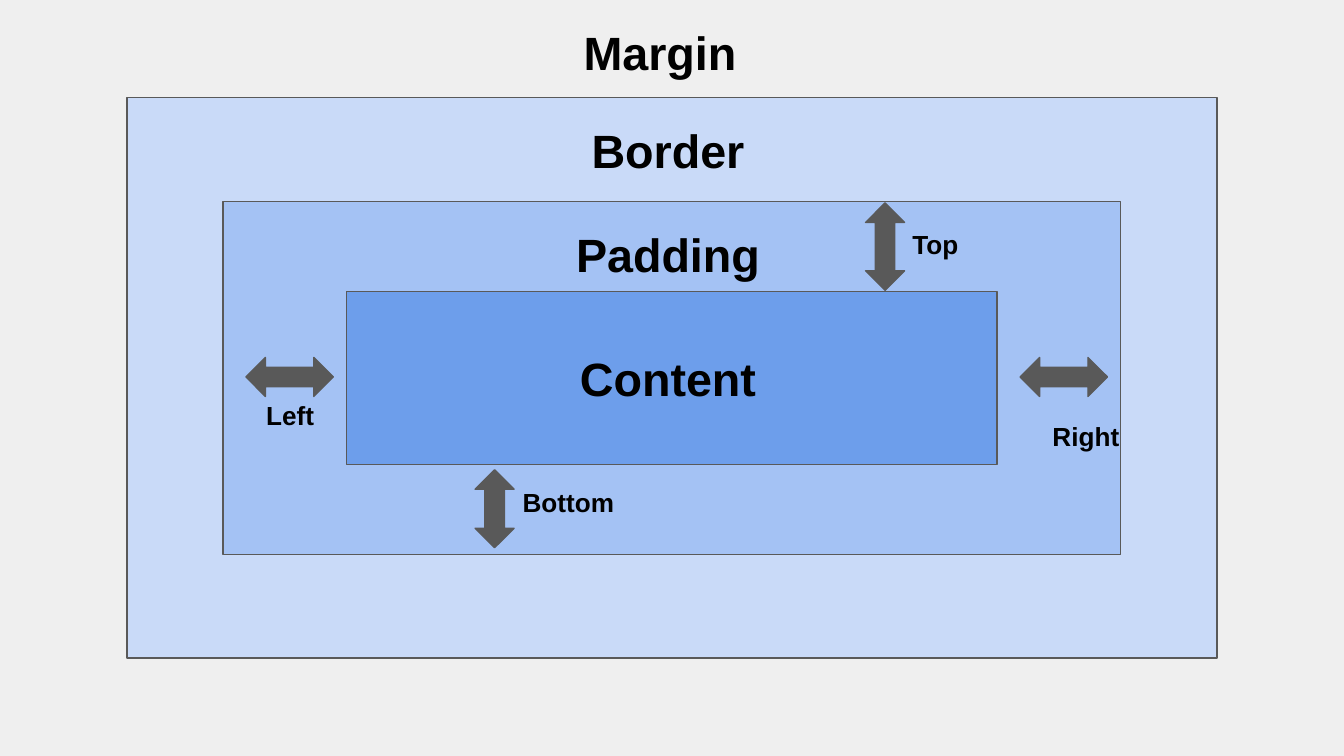
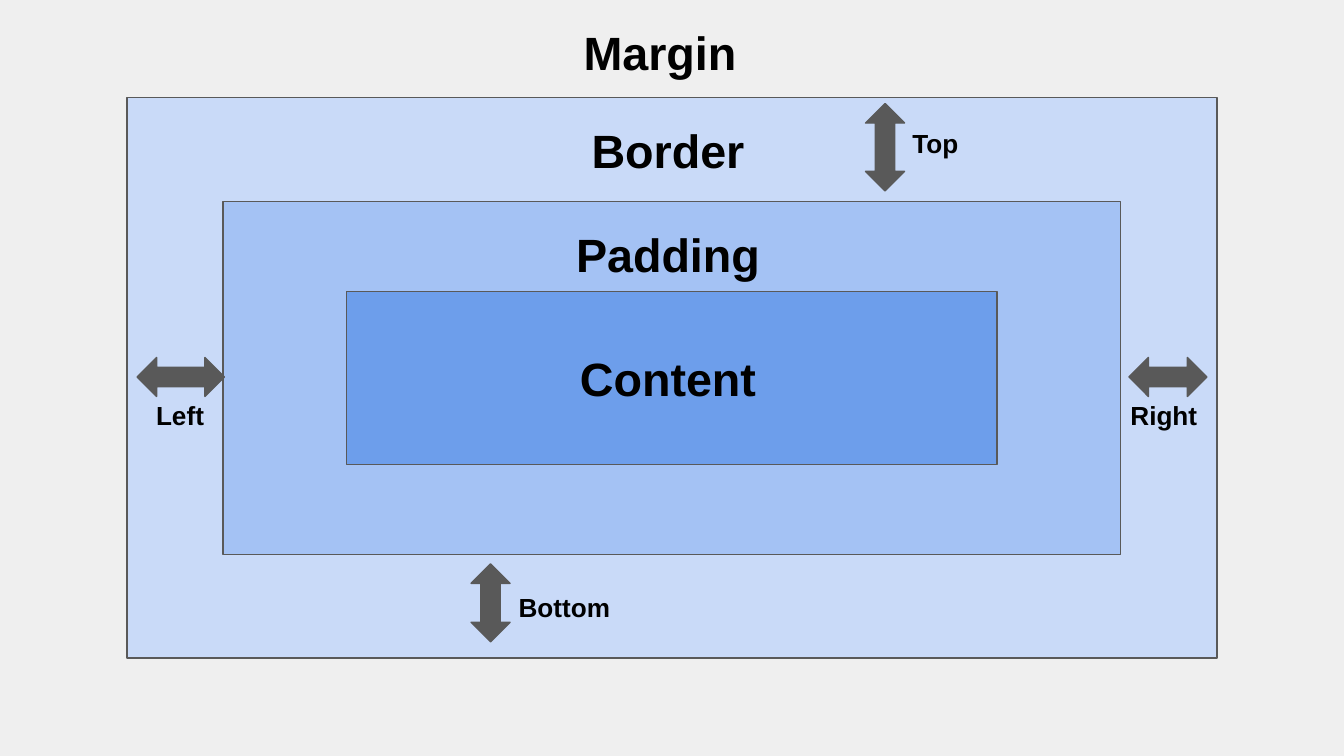
from pptx import Presentation
from pptx.dml.color import RGBColor
from pptx.enum.shapes import MSO_SHAPE
from pptx.enum.text import MSO_ANCHOR, PP_ALIGN
from pptx.util import Inches, Pt

RECT, ARROW = MSO_SHAPE.RECTANGLE, MSO_SHAPE.LEFT_RIGHT_ARROW
TOP, CENTER = MSO_ANCHOR.TOP, PP_ALIGN.CENTER

WIDTH, HEIGHT = 10, 5.625
FONT, INK, BACKGROUND, GRAY = "Arial", "000000", "EFEFEF", "595959"
TITLE_W, TITLE_H, TITLE_SIZE = 3.18, 0.52, 25
LABEL_H, LABEL_SIZE, ARROW_H = 0.29, 14, 0.29
SIDE_Y, SIDE_LABEL_Y = 2.66, 2.87

# width, height, fill
BOXES = [(8.11, 4.17, "C9DAF8"), (6.68, 2.63, "A4C2F4"), (4.84, 1.29, "6D9EEB")]
# text, left, top
TITLES = [("Content", 3.38, 2.5), ("Padding", 3.38, 1.58),
          ("Border", 3.38, 0.81), ("Margin", 3.32, 0.08)]
# label, label left, top, width; arrow left, top, width, rotation
SLIDES = [
    [("Left", (1.76, SIDE_LABEL_Y, 0.8), (1.83, SIDE_Y, 0.65, 0)),
     ("Right", (7.68, 3.03, 0.8), (7.59, SIDE_Y, 0.65, 0)),
     ("Top", (6.56, 1.6, 0.8), (6.26, 1.69, 0.65, 270)),
     ("Bottom", (3.66, 3.52, 1.14), (3.39, 3.64, 0.58, 270))],
    [("Left", (0.94, SIDE_LABEL_Y, 0.8), (1.02, SIDE_Y, 0.65, 0)),
     ("Right", (8.26, SIDE_LABEL_Y, 0.8), (8.4, SIDE_Y, 0.58, 0)),
     ("Top", (6.56, 0.85, 0.8), (6.26, 0.95, 0.65, 270)),
     ("Bottom", (3.63, 4.3, 1.14), (3.36, 4.34, 0.58, 270))],
]


def color(value):
    return RGBColor.from_string(value)


def add_block(s, kind, x, y, w, h, fill):
    sp = s.shapes.add_shape(kind, Inches(x), Inches(y), Inches(w), Inches(h))
    sp.shadow.inherit = False
    sp.fill.solid()
    sp.fill.fore_color.rgb = color(fill)
    sp.line.color.rgb = color(GRAY)
    sp.line.width = Pt(0.75)
    return sp


def add_text(s, text, x, y, w, h, size):
    tf = s.shapes.add_textbox(Inches(x), Inches(y), Inches(w), Inches(h)).text_frame
    tf.word_wrap = True
    tf.vertical_anchor = TOP
    tf.margin_left = tf.margin_right = tf.margin_top = tf.margin_bottom = Inches(0.1)
    p = tf.paragraphs[0]
    p.text, p.alignment = text, CENTER
    p.font.name, p.font.size, p.font.bold = FONT, Pt(size), True
    p.font.color.rgb = color(INK)


def add_box_model(prs, sides):
    s = prs.slides.add_slide(prs.slide_layouts[6])
    s.background.fill.solid()
    s.background.fill.fore_color.rgb = color(BACKGROUND)
    for w, h, fill in BOXES:
        add_block(s, RECT, (WIDTH - w) / 2, (HEIGHT - h) / 2, w, h, fill)
    for text, x, y in TITLES:
        add_text(s, text, x, y, TITLE_W, TITLE_H, TITLE_SIZE)
    for text, (label_x, label_y, label_w), (x, y, w, rotation) in sides:
        add_block(s, ARROW, x, y, w, ARROW_H, GRAY).rotation = rotation
        add_text(s, text, label_x, label_y, label_w, LABEL_H, LABEL_SIZE)


def main():
    """Build the box model slides: padding sides, then border sides."""
    prs = Presentation()
    prs.slide_width, prs.slide_height = Inches(WIDTH), Inches(HEIGHT)
    for sides in SLIDES:
        add_box_model(prs, sides)
    prs.save("out.pptx")


if __name__ == "__main__":
    main()
